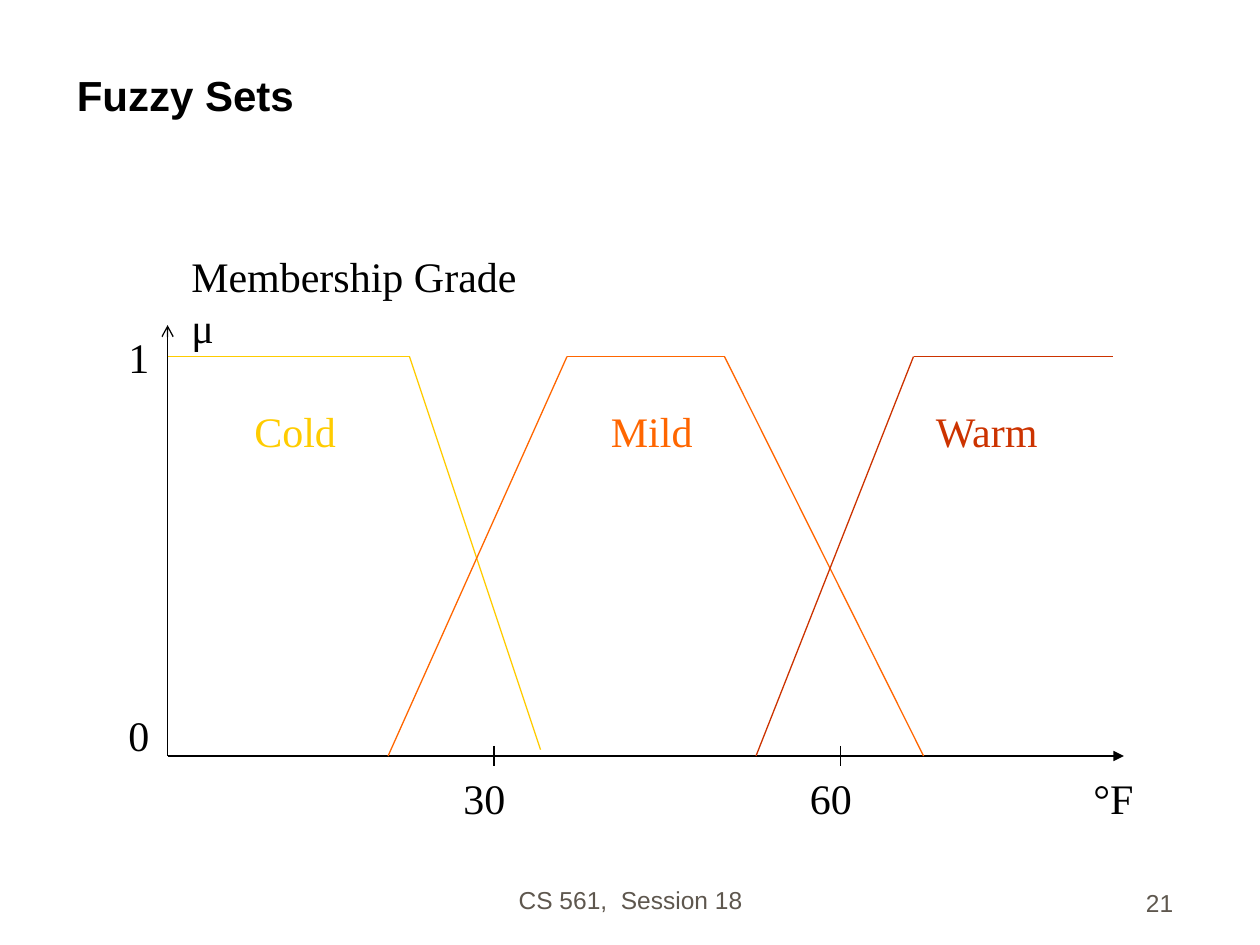
from itertools import pairwise

from pptx import Presentation
from pptx.dml.color import RGBColor
from pptx.enum.shapes import MSO_CONNECTOR as Connector
from pptx.enum.text import MSO_ANCHOR as Anchor, MSO_AUTO_SIZE as AutoSize, PP_ALIGN as Align
from pptx.oxml.ns import qn
from pptx.util import Inches, Pt
from lxml.etree import SubElement

COLORS = {
    "ink": "000000",
    "footer": "5E574E",
    "cold": "FFCC00",
    "mild": "FF6600",
    "warm": "CC3300",
}
ORIGIN_X, ZERO_Y, ONE_Y = 1.33, 6, 2.83
FUZZY_SETS = [
    ("Warm", "warm", (7.33, 1.5), [(6, ZERO_Y), (7.25, ONE_Y), (8.83, ONE_Y)]),
    ("Mild", "mild", (4.75, 0.92),
     [(3.08, ZERO_Y), (4.5, ONE_Y), (5.75, ONE_Y), (7.33, ZERO_Y)]),
    ("Cold", "cold", (1.92, 0.92), [(ORIGIN_X, ONE_Y), (3.25, ONE_Y), (4.29, 5.95)]),
]
TICKS = [("30", 3.92), ("60", 6.67)]


def write_text(holder, text, *, font="Times New Roman", size=24, color="ink", bold=False,
               align=Align.LEFT, anchor=Anchor.TOP, auto_size=AutoSize.SHAPE_TO_FIT_TEXT):
    frame = holder.text_frame
    frame.word_wrap = True
    frame.auto_size = auto_size
    frame.vertical_anchor = anchor
    paragraph = frame.paragraphs[0]
    paragraph.alignment = align
    run = paragraph.add_run()
    run.text = text
    run.font.name = font
    run.font.size = Pt(size)
    run.font.bold = bold
    run.font.color.rgb = RGBColor.from_string(COLORS[color])


def add_label(slide, text, left, top, width, height=0.5, **style):
    label = slide.shapes.add_textbox(*map(Inches, (left, top, width, height)))
    write_text(label, text, **style)


def add_line(slide, start, end, color="ink", arrow=None):
    line = slide.shapes.add_connector(Connector.STRAIGHT, *map(Inches, (*start, *end)))
    line.line.color.rgb = RGBColor.from_string(COLORS[color])
    line.line.width = Pt(0.75)
    if arrow:
        SubElement(line.line._get_or_add_ln(), qn("a:tailEnd"), type=arrow)
    SubElement(line._element.spPr, qn("a:effectLst"))


def add_title(slide):
    title = slide.shapes.title
    title.left, title.top, title.width, title.height = map(Inches, (0.51, 0.25, 8.92, 0.75))
    write_text(title, "Fuzzy Sets", font="Arial", bold=True, anchor=Anchor.BOTTOM,
               auto_size=AutoSize.NONE)


def add_footer(slide):
    style = dict(font="Arial", size=14, color="footer", anchor=Anchor.BOTTOM,
                 auto_size=AutoSize.NONE)
    add_label(slide, "CS 561,  Session 18", 3.42, 6.81, 3.17, align=Align.CENTER, **style)
    add_label(slide, "21", 7.33, 6.83, 2.08, align=Align.RIGHT, **style)


def add_axes(slide):
    origin = (ORIGIN_X, ZERO_Y)
    add_line(slide, origin, (8.92, ZERO_Y), arrow="triangle")
    add_line(slide, origin, (ORIGIN_X, 2.58), arrow="arrow")
    add_label(slide, "Membership Grade μ", 1.42, 1.94, 3, 0.9)
    add_label(slide, "°F", 8.58, 6.08, 0.58)
    for grade, top in (("1", 2.58), ("0", 5.58)):
        add_label(slide, grade, 0.92, top, 0.42)
    for degrees, x in TICKS:
        add_line(slide, (x, ZERO_Y - 0.08), (x, ZERO_Y + 0.08))
        add_label(slide, degrees, x - 0.34, 6.08, 0.58)


def add_fuzzy_set(slide, name, color, label_span, corners):
    for start, end in pairwise(corners):
        add_line(slide, start, end, color)
    left, width = label_span
    add_label(slide, name, left, 3.17, width, color=color)


def main():
    deck = Presentation()
    deck.slide_width, deck.slide_height = Inches(10), Inches(7.5)
    slide = deck.slides.add_slide(deck.slide_layouts[5])
    add_title(slide)
    add_footer(slide)
    add_axes(slide)
    for fuzzy_set in reversed(FUZZY_SETS):
        add_fuzzy_set(slide, *fuzzy_set)
    deck.save("out.pptx")


if __name__ == "__main__":
    main()
